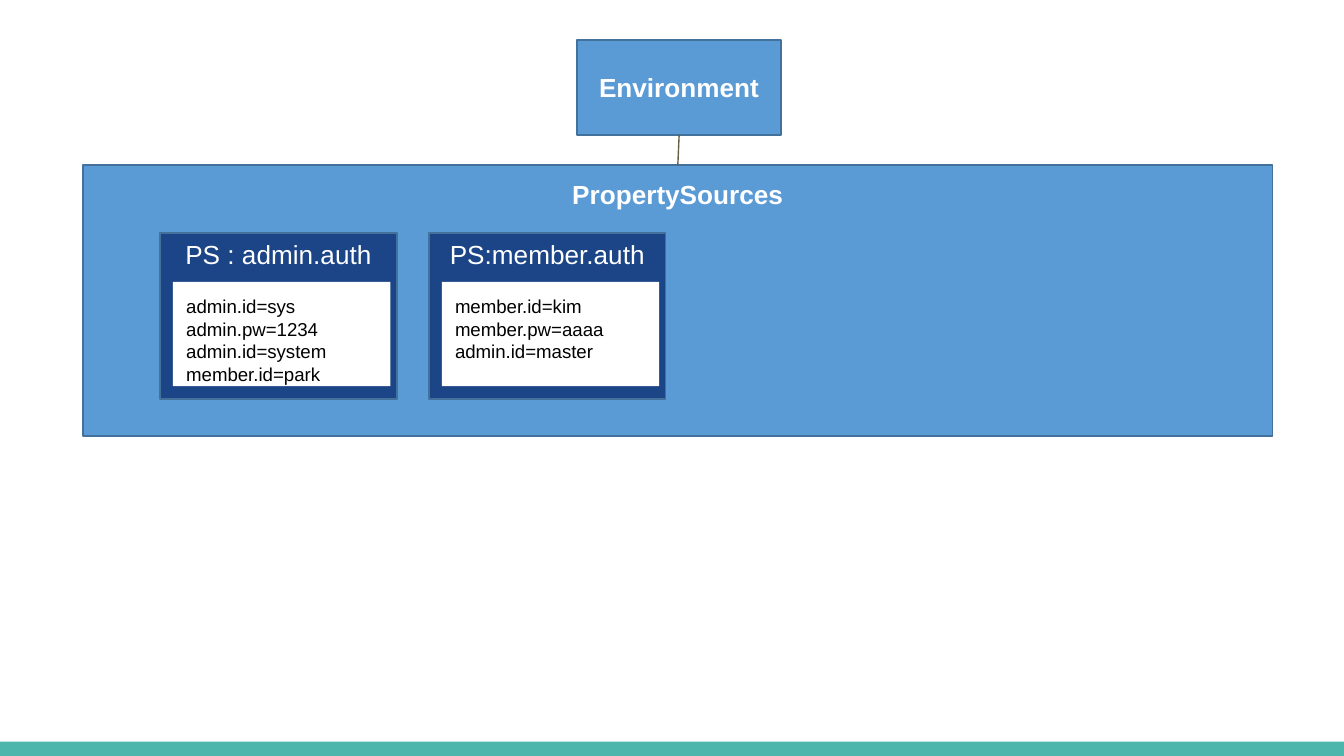
from dataclasses import dataclass
from typing import Optional

from lxml import etree
from pptx import Presentation
from pptx import util as u
from pptx.dml.color import RGBColor
from pptx.enum import shapes, text
from pptx.oxml import ns

FONT = "Arial"
WHITE, BLACK = "FFFFFF", "000000"
TEAL, BLUE, NAVY = "4DB6AC", "5B9BD5", "1C4587"
OUTLINE, LINK = "42719B", "695D46"
WIDE_INSETS, SLIM_INSETS = (0.25, 0.25), (0.18, 0.1)
TOP, MIDDLE = text.MSO_ANCHOR.TOP, text.MSO_ANCHOR.MIDDLE
LEFT, CENTER = text.PP_ALIGN.LEFT, text.PP_ALIGN.CENTER


@dataclass
class Block:
    left: float
    top: float
    width: float
    height: float
    fill: str
    line: Optional[str] = None
    lines: tuple[str, ...] = ()
    size: int = 14
    bold: bool = False
    color: str = WHITE
    align: text.PP_ALIGN = CENTER
    anchor: text.MSO_ANCHOR = TOP
    insets: tuple[float, float] = SLIM_INSETS


@dataclass
class PropertySource:
    title: str
    entries: tuple[str, ...]


SOURCES = [
    PropertySource("PS : admin.auth", ("admin.id=sys", "admin.pw=1234",
                                       "admin.id=system", "member.id=park")),
    PropertySource("PS:member.auth", ("member.id=kim", "member.pw=aaaa",
                                      "admin.id=master")),
]


def rgb(value: str) -> RGBColor:
    return RGBColor.from_string(value)


def draw_block(page, block: Block):
    box = page.shapes.add_shape(
        shapes.MSO_SHAPE.RECTANGLE, u.Cm(block.left), u.Cm(block.top),
        u.Cm(block.width), u.Cm(block.height))
    box.shadow.inherit = False
    box.fill.solid()
    box.fill.fore_color.rgb = rgb(block.fill)
    if block.line:
        box.line.color.rgb = rgb(block.line)
        box.line.width = u.Pt(1)
    else:
        box.line.fill.background()
    if block.lines:
        write_lines(box.text_frame, block)
    return box


def write_lines(frame, block: Block) -> None:
    side, edge = block.insets
    frame.margin_left = frame.margin_right = u.Cm(side)
    frame.margin_top = frame.margin_bottom = u.Cm(edge)
    frame.word_wrap = True
    frame.vertical_anchor = block.anchor
    frame.text = "\n".join(block.lines)
    for para in frame.paragraphs:
        para.alignment = block.align
        for span in para.runs:
            span.font.name = FONT
            span.font.size = u.Pt(block.size)
            span.font.bold = block.bold
            span.font.color.rgb = rgb(block.color)


def draw_source(page, source: PropertySource, left: float, top: float) -> None:
    draw_block(page, Block(left, top, 4.47, 3.15, NAVY, OUTLINE, (source.title,)))
    draw_block(page, Block(left + 0.24, top + 0.93, 4.11, 1.97, WHITE,
                           lines=source.entries, size=10, color=BLACK,
                           align=LEFT, insets=WIDE_INSETS))


def draw_link(page, upper, lower) -> None:
    link = page.shapes.add_connector(shapes.MSO_CONNECTOR.STRAIGHT, 0, 0, 0, 0)
    link.begin_connect(upper, 2)
    link.end_connect(lower, 0)
    link.line.color.rgb = rgb(LINK)
    link.line.width = u.Pt(0.75)
    etree.SubElement(link._element.spPr, ns.qn("a:effectLst"))


def main() -> None:
    deck = Presentation()
    deck.slide_width, deck.slide_height = u.Cm(25.4), u.Cm(14.29)
    page = deck.slides.add_slide(deck.slide_layouts[6])

    draw_block(page, Block(0, 14.02, 25.4, 0.27, TEAL))
    container = draw_block(page, Block(
        1.57, 3.12, 22.48, 5.13, BLUE, OUTLINE, ("PropertySources",),
        bold=True, insets=WIDE_INSETS))
    environment = draw_block(page, Block(
        10.91, 0.75, 3.85, 1.8, BLUE, OUTLINE, ("Environment",),
        bold=True, anchor=MIDDLE))
    for index, source in enumerate(SOURCES):
        draw_source(page, source, 3.03 + index * 5.08, 4.4)
    draw_link(page, environment, container)

    deck.save("out.pptx")


if __name__ == "__main__":
    main()
